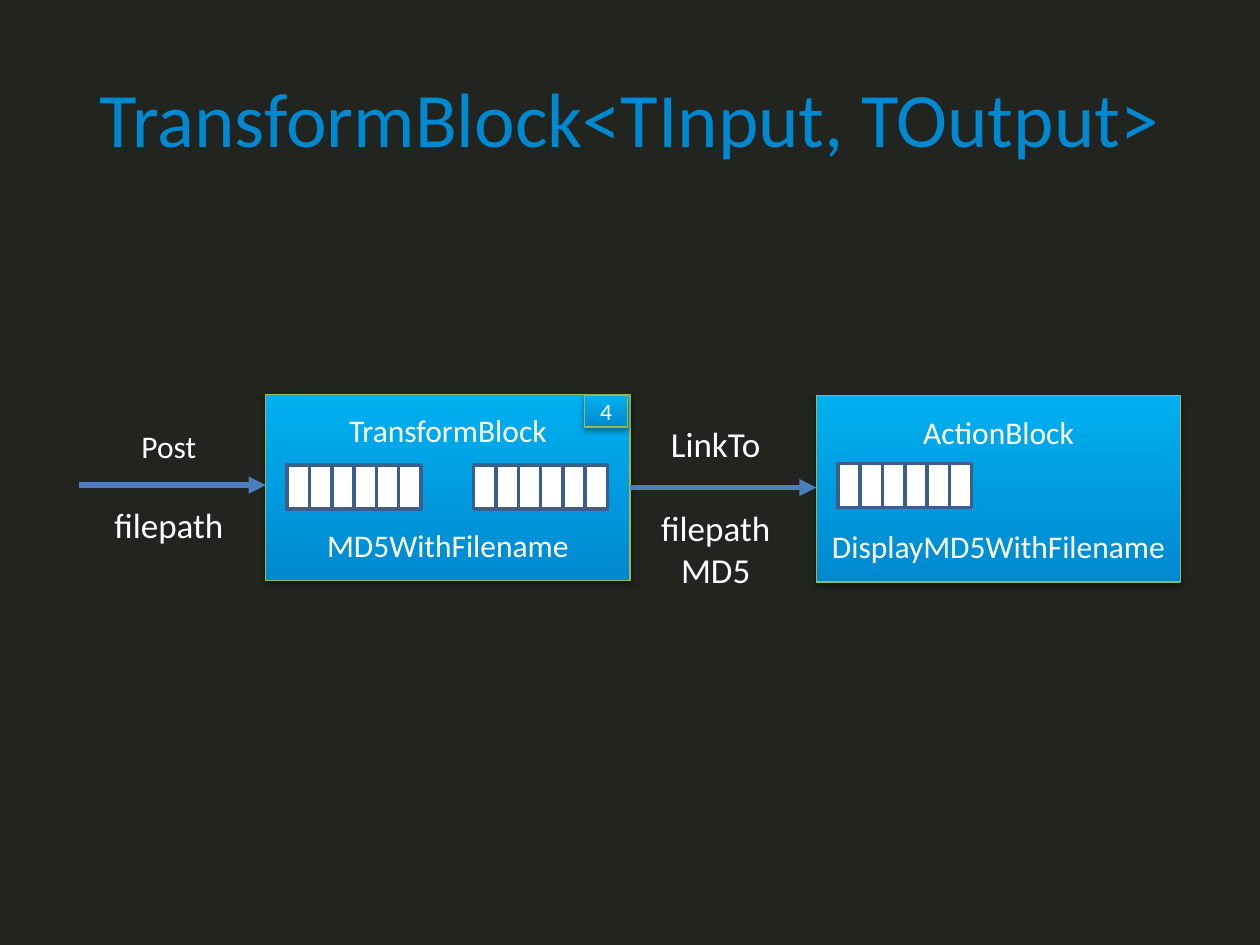
from lxml.etree import SubElement
from pptx import Presentation
from pptx.dml.color import RGBColor
from pptx.enum.shapes import MSO_CONNECTOR as Connector, MSO_SHAPE as Preset
from pptx.enum.text import MSO_ANCHOR as Anchor, PP_ALIGN as Align
from pptx.oxml.ns import qn
from pptx.util import Inches, Pt

COLORS = {
    "background": "222420", "title": "0089D0", "text": "FFFFFF",
    "block_bottom": "0089D0", "block_top": "00B0F0", "block_line": "98B955",
    "cell": "FFFFFF", "cell_line": "3A5F8C", "arrow": "4B7EBC",
}
FONT = "Calibri"
BLOCK_W, BLOCK_H = 2.89, 1.48
ARROW_LENGTH = 1.48
CELLS, CELL_W, CELL_H = 6, 0.177, 0.35
QUEUE_INSET, QUEUE_STEP = 0.17, 1.48


def color(name):
    return RGBColor.from_string(COLORS[name])


def inches(*lengths):
    return [Inches(length) for length in lengths]


def write(frame, lines, size=18, fill="text", anchor=Anchor.MIDDLE, wrap=True):
    """Fill a frame with lines of (text, space before, optional size)."""
    frame.word_wrap = wrap
    frame.vertical_anchor = anchor
    for index, (text, gap, *own_size) in enumerate(lines):
        line = frame.paragraphs[0] if index == 0 else frame.add_paragraph()
        line.alignment = Align.CENTER
        line.space_before = Pt(gap)
        run = line.add_run()
        run.text = text
        run.font.name = FONT
        run.font.size = Pt(own_size[0] if own_size else size)
        run.font.color.rgb = color(fill)


def add_soft_shadow(shape):
    effects = shape._element.spPr.find(qn("a:effectLst"))
    shadow = SubElement(effects, qn("a:outerShdw"), blurRad=str(Pt(3.1)),
                        dist=str(Pt(1.8)), dir="5400000", rotWithShape="0")
    black = SubElement(shadow, qn("a:srgbClr"), val="000000")
    SubElement(black, qn("a:alpha"), val="35000")


def add_box(group, left, top, width, height, outline, weight):
    box = group.shapes.add_shape(Preset.RECTANGLE, *inches(left, top, width, height))
    box.shadow.inherit = False
    box.line.color.rgb = color(outline)
    box.line.width = Pt(weight)
    return box


def add_block(group, left, top, width, height, lines, size=18):
    block = add_box(group, left, top, width, height, "block_line", 0.75)
    block.fill.gradient()
    block.fill.gradient_angle = 90
    for stop, name in zip(block.fill.gradient_stops, ("block_bottom", "block_top")):
        stop.color.rgb = color(name)
    add_soft_shadow(block)
    write(block.text_frame, lines, size)


def add_queue(group, left, top):
    for column in range(CELLS):
        cell = add_box(group, left + column * CELL_W, top, CELL_W, CELL_H, "cell_line", 2)
        cell.fill.solid()
        cell.fill.fore_color.rgb = color("cell")


def add_arrow(group, left, right, y):
    arrow = group.shapes.add_connector(Connector.STRAIGHT, *inches(left, y, right, y))
    arrow.line.color.rgb = color("arrow")
    arrow.line.width = Pt(3.25)
    SubElement(arrow.line._get_or_add_ln(), qn("a:tailEnd"), type="triangle")
    SubElement(arrow._element.spPr, qn("a:effectLst"))


def add_label(group, left, top, width, height, lines):
    label = group.shapes.add_textbox(*inches(left, top, width, height))
    write(label.text_frame, lines, size=20, anchor=Anchor.TOP, wrap=False)


def add_stage(slide, left, top, names, queues, queue_top, arrow_y, label_box, label):
    """Group a dataflow block with its queues and its incoming arrow."""
    stage = slide.shapes.add_group_shape()
    kind, action = names
    add_block(stage, left, top, BLOCK_W, BLOCK_H, [(kind, 0), (action, 44)])
    add_label(stage, *label_box, label)
    for queue in range(queues):
        add_queue(stage, left + QUEUE_INSET + queue * QUEUE_STEP, queue_top)
    add_arrow(stage, left - ARROW_LENGTH, left, arrow_y)
    return stage


def add_title(slide, text):
    title = slide.shapes.title
    title.left, title.top, title.width, title.height = inches(0.5, 0.3, 9, 1.25)
    write(title.text_frame, [(text, 0)], size=44, fill="title")


def main():
    deck = Presentation()
    deck.slide_width, deck.slide_height = inches(10, 7.5)
    slide = deck.slides.add_slide(deck.slide_layouts[5])
    slide.background.fill.solid()
    slide.background.fill.fore_color.rgb = color("background")

    add_title(slide, "TransformBlock<TInput, TOutput>")
    transform = add_stage(
        slide, 2.11, 3.13, ("TransformBlock", "MD5WithFilename"), queues=2,
        queue_top=3.69, arrow_y=3.85, label_box=(0.8, 3.34, 1.08, 1.04),
        label=[("Post", 0, 18), ("filepath", 22)])
    add_block(transform, 4.64, 3.14, 0.34, 0.25, [("4", 0)], size=13.5)
    add_stage(
        slide, 6.48, 3.14, ("ActionBlock", "DisplayMD5WithFilename"), queues=1,
        queue_top=3.68, arrow_y=3.87, label_box=(5.14, 3.3, 1.08, 1.45),
        label=[("LinkTo", 0), ("filepath", 24), ("MD5", 0)])
    deck.save("out.pptx")


if __name__ == "__main__":
    main()
